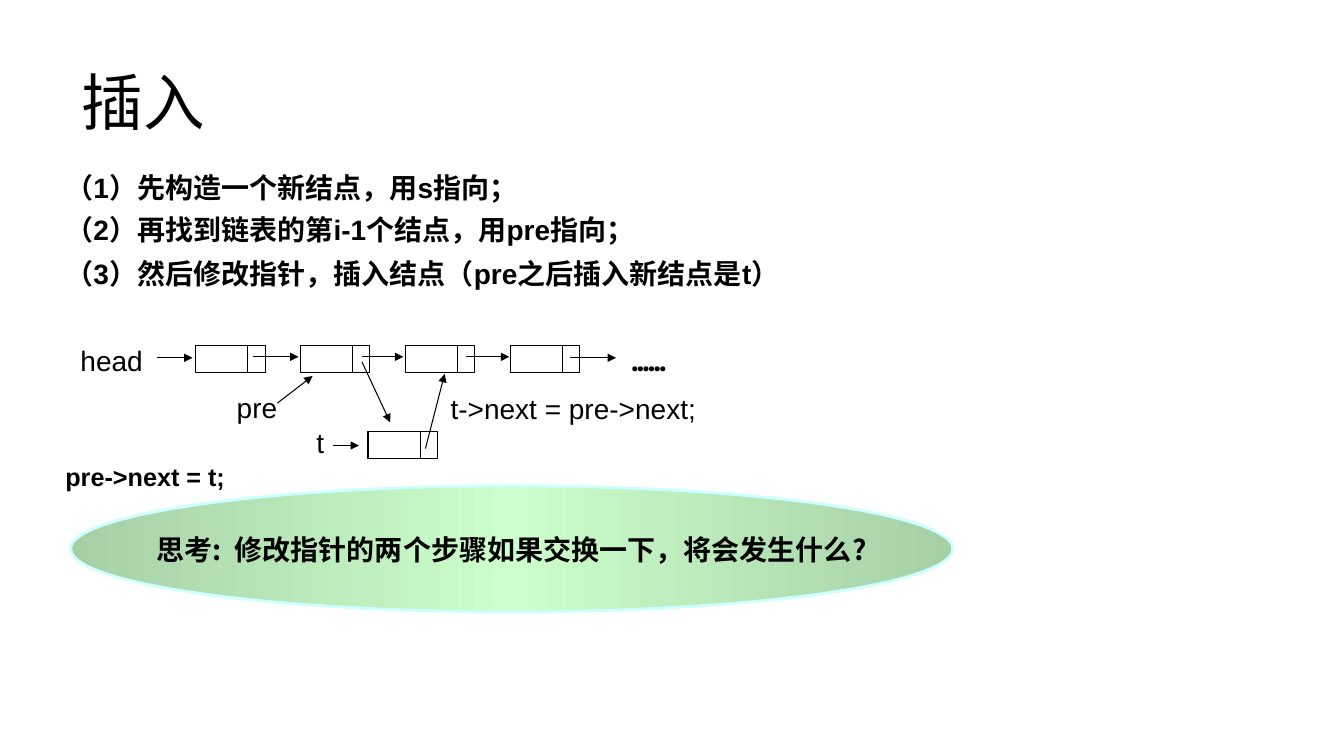
from copy import deepcopy
from dataclasses import dataclass

from pptx import Presentation
from pptx.dml.color import RGBColor
from pptx.enum.shapes import MSO_CONNECTOR, MSO_SHAPE
from pptx.enum.text import MSO_ANCHOR, PP_ALIGN
from pptx.oxml.ns import qn
from pptx.util import Inches, Pt

LINE = MSO_CONNECTOR.STRAIGHT
RECT, OVAL = MSO_SHAPE.RECTANGLE, MSO_SHAPE.OVAL
TOP, MIDDLE = MSO_ANCHOR.TOP, MSO_ANCHOR.MIDDLE
LEFT, CENTER = PP_ALIGN.LEFT, PP_ALIGN.CENTER

COLORS = {"ink": "000000", "node": "FFFFFF", "edge": "CCFFFF",
          "rim": "A6CFA6", "core": "CCFFCC"}
LATIN, HAN, MONO = "Arial", "Noto Sans CJK SC", "Noto Sans Mono"


@dataclass
class Label:
    text: str
    x: float
    y: float
    w: float
    h: float
    size: int = 20
    bold: bool = False
    font: str = LATIN
    anchor: MSO_ANCHOR = TOP


@dataclass
class Arrow:
    x1: float
    y1: float
    x2: float
    y2: float


def color(name: str) -> RGBColor:
    return RGBColor.from_string(COLORS[name])


def write(frame, label: Label, align: PP_ALIGN = LEFT, wrap: bool = True) -> None:
    """Put one formatted line into a text frame."""
    frame.word_wrap = wrap
    frame.vertical_anchor = label.anchor
    para = frame.paragraphs[0]
    para.alignment = align
    run = para.add_run()
    run.text = label.text
    form = {"name": label.font, "size": Pt(label.size), "bold": label.bold}
    for key, value in form.items():
        setattr(run.font, key, value)
    run.font.color.rgb = color("ink")
    east = run._r.get_or_add_rPr().makeelement(
        qn("a:ea"), {"typeface": MONO if label.font == MONO else HAN})
    run.font._element.find(qn("a:latin")).addnext(east)


def add_label(slide, label: Label) -> None:
    box = slide.shapes.add_textbox(*map(Inches, (label.x, label.y, label.w, label.h)))
    write(box.text_frame, label)


def add_node(slide, x: float, y: float) -> None:
    """Draw a list node: a data cell and a pointer cell."""
    for left, width in ((x, DATA), (x + DATA, LINK)):
        cell = slide.shapes.add_shape(RECT, *map(Inches, (left, y, width, TALL)))
        cell.shadow.inherit = False
        cell.fill.solid()
        cell.fill.fore_color.rgb = color("node")
        cell.line.color.rgb = color("ink")
        cell.line.width = Pt(0.75)


def add_arrow(slide, arrow: Arrow) -> None:
    ends = map(Inches, (arrow.x1, arrow.y1, arrow.x2, arrow.y2))
    link = slide.shapes.add_connector(LINE, *ends)
    link.line.color.rgb = color("ink")
    link.line.width = Pt(0.75)
    pen = link.line._get_or_add_ln()
    pen.append(pen.makeelement(qn("a:tailEnd"), {"type": "triangle"}))
    props = link._element.spPr
    props.append(props.makeelement(qn("a:effectLst"), {}))


def add_oval(slide, label: Label) -> None:
    """Draw the question on a three-stop gradient."""
    oval = slide.shapes.add_shape(
        OVAL, *map(Inches, (label.x, label.y, label.w, label.h)))
    oval.shadow.inherit = False
    oval.line.color.rgb = color("edge")
    oval.line.width = Pt(2)
    oval.fill.gradient()
    oval.fill.gradient_angle = 0
    stops = oval._element.spPr.find(qn("a:gradFill")).find(qn("a:gsLst"))
    stops.append(deepcopy(stops[-1]))
    marks = ((0, "rim"), (0.5, "core"), (1, "rim"))
    for stop, (place, name) in zip(oval.fill.gradient_stops, marks):
        stop.position = place
        stop.color.rgb = color(name)
    write(oval.text_frame, label, CENTER, False)


# Node sizes and the row of the list
DATA, LINK, TALL = 0.52, 0.17, 0.27
START, PITCH, ROW, COUNT = 1.94, 1.04, 3.43, 4

LABELS = [
    Label("插入", 0.71, 0.28, 11.5, 1.45, 44, anchor=MIDDLE),
    # Steps
    Label("（1）先构造一个新结点，用s指向；", 0.55, 1.64, 6.4, 0.44, bold=True),
    Label("（2）再找到链表的第i-1个结点，用pre指向；", 0.55, 2.06, 6.4, 0.44, bold=True),
    Label("（3）然后修改指针，插入结点（pre之后插入新结点是t）",
          0.55, 2.5, 8.12, 0.44, bold=True),
    # Names in the diagram
    Label("head", 0.7, 3.36, 1, 0.47),
    Label("……", 6.17, 3.36, 0.81, 0.47, bold=True, font=MONO),
    Label("pre", 2.25, 3.82, 0.8, 0.47),
    Label("t", 3.04, 4.17, 0.3, 0.47),
    # Code
    Label("t->next = pre->next;", 4.37, 3.83, 3.91, 0.44, anchor=MIDDLE),
    Label("pre->next = t;", 0.55, 4.53, 2.58, 0.4, 18, True),
]
ARROWS = [
    # Along the list
    Arrow(1.56, 3.55, 1.91, 3.55), Arrow(2.51, 3.54, 2.96, 3.54),
    Arrow(3.59, 3.54, 4, 3.54), Arrow(4.62, 3.54, 5.05, 3.54),
    Arrow(5.65, 3.55, 6.11, 3.55),
    # To and from the new node
    Arrow(3.59, 3.59, 3.87, 4.19), Arrow(2.75, 4, 3.1, 3.73),
    Arrow(3.3, 4.42, 3.56, 4.42), Arrow(4.22, 4.45, 4.41, 3.71),
]
ASK = Label("思考:  修改指针的两个步骤如果交换一下，将会发生什么?",
            0.7, 4.82, 8.75, 1.25, bold=True, font=HAN, anchor=MIDDLE)

deck = Presentation()
deck.slide_width, deck.slide_height = Inches(13.33), Inches(7.5)
slide = deck.slides.add_slide(deck.slide_layouts[6])

# Text, nodes, pointers, question
for label in LABELS:
    add_label(slide, label)
for i in range(COUNT):
    add_node(slide, START + i * PITCH, ROW)
add_node(slide, 3.65, 4.28)
for arrow in ARROWS:
    add_arrow(slide, arrow)
add_oval(slide, ASK)

deck.save("out.pptx")
